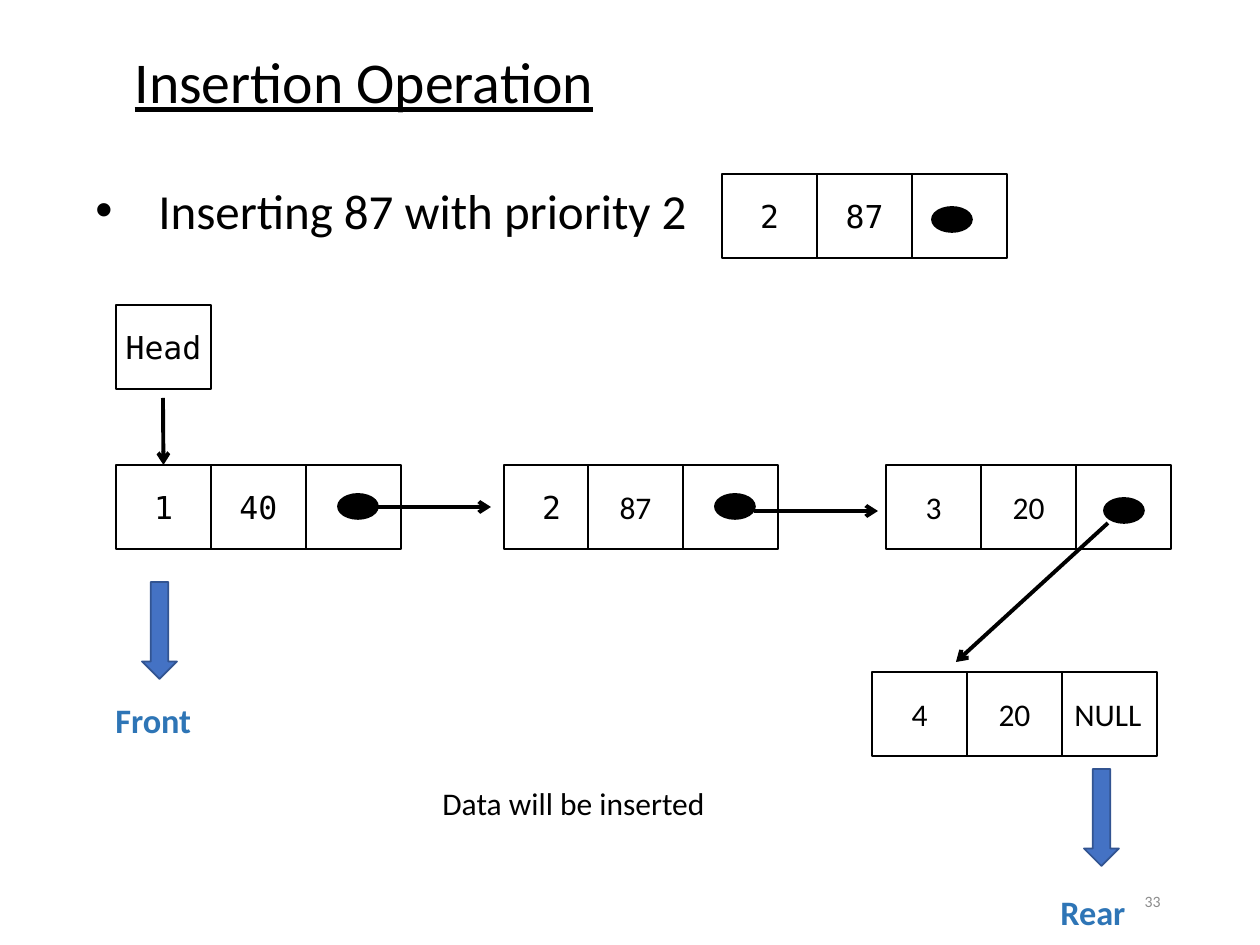
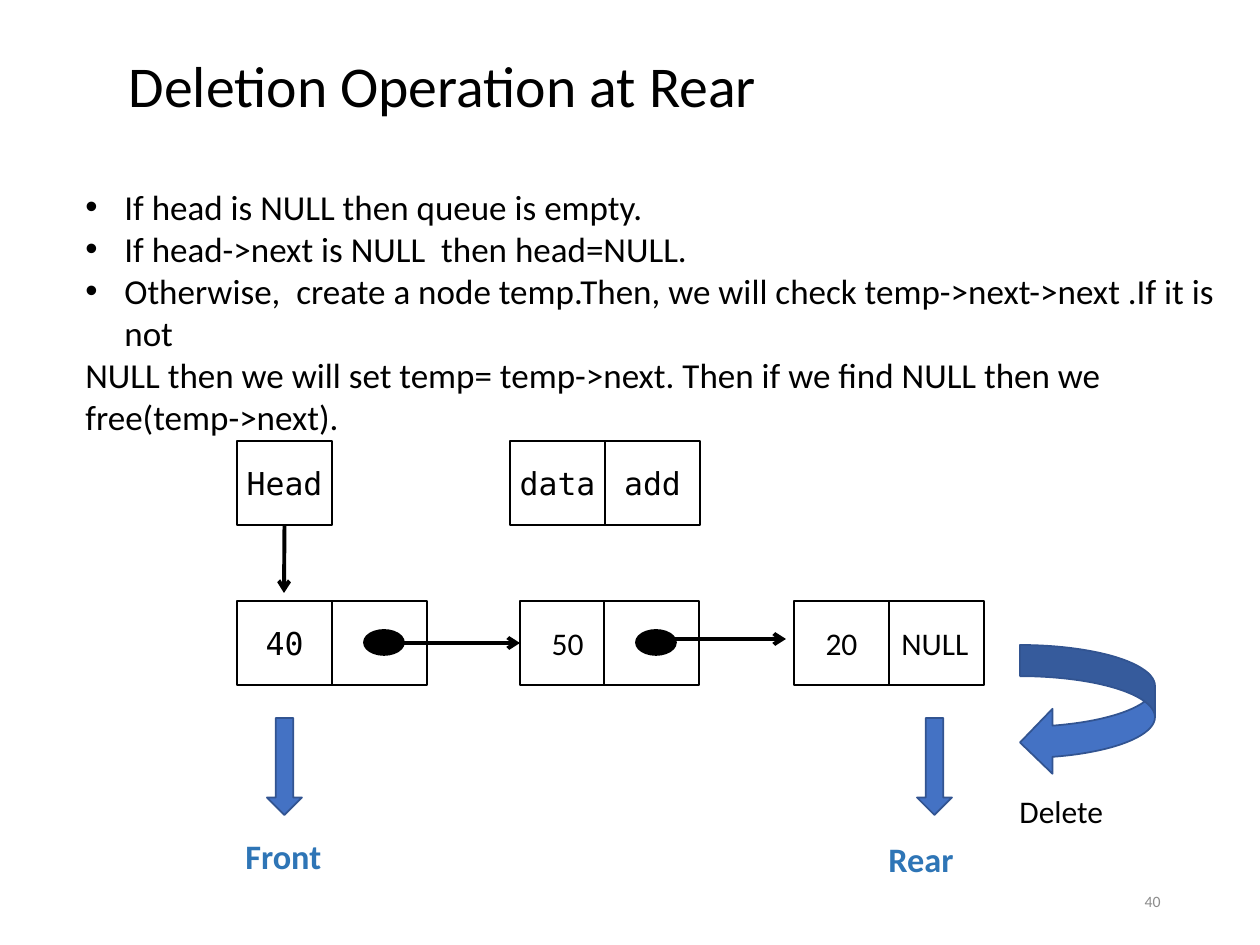
import pptx
import pptx.util
import pptx.dml.color
import pptx.enum.shapes
import pptx.enum.text
import pptx.oxml.ns
import lxml.etree

SANS = "Calibri"
MONO = "DejaVu Sans Mono"
BLACK = "000000"
WHITE = "FFFFFF"
GREY = "8C8C8C"
ARROW_FILL = "4472C4"
ARROW_LINE = "325491"
LABEL_BLUE = "2E75B6"

PX_PER_INCH = 126
CELL_WIDTH = 95
CELL_HEIGHT = 84
NARROW_STEP = 84
DOT_OFFSET = (32, 29)
TITLE_ONLY = 5

SHAPES = pptx.enum.shapes.MSO_SHAPE
ALIGN = pptx.enum.text.PP_ALIGN
ANCHOR = pptx.enum.text.MSO_ANCHOR


def emu(px):
    return round(px * 914400 / PX_PER_INCH)


def color(hex_value):
    return pptx.dml.color.RGBColor.from_string(hex_value)


def add_child(parent, tag, **attributes):
    return lxml.etree.SubElement(parent, pptx.oxml.ns.qn(tag), attributes)


def write(shape, text, size=18, font=SANS, ink=BLACK, bold=False, underline=False,
          align=ALIGN.LEFT, anchor=ANCHOR.TOP, wrap=True, spacing=None,
          bulleted=0, indent=0):
    frame = shape.text_frame
    frame.word_wrap = wrap
    frame.auto_size = pptx.enum.text.MSO_AUTO_SIZE.NONE
    frame.vertical_anchor = anchor
    for index, line in enumerate(text.split("\n")):
        para = frame.add_paragraph() if index else frame.paragraphs[0]
        para.alignment = align
        if spacing:
            para.line_spacing = spacing
        if index < bulleted:
            properties = para._p.get_or_add_pPr()
            properties.set("marL", str(emu(indent)))
            properties.set("indent", str(-emu(indent)))
            add_child(properties, "a:buFont", typeface="Arial")
            add_child(properties, "a:buChar", char="•")
        span = para.add_run()
        span.text = line
        span.font.size = pptx.util.Pt(size)
        span.font.name = font
        span.font.bold = bold
        span.font.underline = underline
        span.font.color.rgb = color(ink)


def add_text(page, box, text, **style):
    shape = page.shapes.add_textbox(*map(emu, box))
    write(shape, text, **style)
    return shape


def add_figure(page, kind, box, fill, line):
    shape = page.shapes.add_shape(kind, *map(emu, box))
    shape.shadow.inherit = False
    shape.fill.solid()
    shape.fill.fore_color.rgb = color(fill)
    shape.line.color.rgb = color(line)
    shape.line.width = pptx.util.Pt(1)
    return shape


def add_arrow(page, start, end, source=None, target=None):
    arrow = page.shapes.add_connector(
        pptx.enum.shapes.MSO_CONNECTOR.STRAIGHT, *map(emu, start + end))
    arrow.line.color.rgb = color(BLACK)
    arrow.line.width = pptx.util.Pt(2.25)
    add_child(arrow.line._get_or_add_ln(), "a:tailEnd", type="arrow")
    add_child(arrow._element.spPr, "a:effectLst")
    if source:
        arrow.begin_connect(*source)
    if target:
        arrow.end_connect(*target)


def add_node(page, left, top, *cells, first_step=CELL_WIDTH, dot=None):
    boxes = []
    for index, (text, font) in enumerate(cells):
        x = left + (first_step + (index - 1) * CELL_WIDTH if index else 0)
        box = add_figure(page, SHAPES.RECTANGLE, (x, top, CELL_WIDTH, CELL_HEIGHT),
                         WHITE, BLACK)
        align = ALIGN.LEFT if text == "NULL" else ALIGN.CENTER
        write(box, text, font=font, align=align, anchor=ANCHOR.MIDDLE, wrap=False)
        boxes.append(box)
    if dot:
        x = left + first_step + (len(cells) - 1) * CELL_WIDTH - CELL_WIDTH
        add_figure(page, SHAPES.OVAL, (x + dot[0], top + dot[1], 40, 25), BLACK, BLACK)
    return boxes


def add_marker(page, left, top, text, label_left, label_top):
    add_figure(page, SHAPES.DOWN_ARROW, (left, top, 35, 97), ARROW_FILL, ARROW_LINE)
    add_text(page, (label_left, label_top, 117, 50), text,
             size=19.6, ink=LABEL_BLUE, bold=True)


def add_page(deck, title, left, top, number, underline=False):
    page = deck.slides.add_slide(deck.slide_layouts[TITLE_ONLY])
    heading = page.shapes.title
    heading.left, heading.top, heading.width, heading.height = map(
        emu, (left, top, 1113, 158))
    write(heading, title, size=33, underline=underline, anchor=ANCHOR.MIDDLE, spacing=0.9)
    add_text(page, (890, 876, 283, 50), number, size=9, ink=GREY,
             align=ALIGN.RIGHT, anchor=ANCHOR.MIDDLE)
    return page


def build_insertion(deck):
    page = add_page(deck, "Insertion Operation", 122, 6, "33", underline=True)
    add_text(page, (83, 174, 631, 72), "Inserting 87 with priority 2",
             size=28, bulleted=1, indent=63)
    add_node(page, 722, 174, ("2", MONO), ("87", MONO), ("", SANS), dot=(209 - 189, 33))

    row = 465
    add_node(page, 116, 305, ("Head", MONO))
    first = add_node(page, 116, row, ("1", MONO), ("40", MONO), ("", SANS), dot=DOT_OFFSET)
    add_node(page, 504, row, ("2", MONO), ("87", SANS), ("", SANS),
             first_step=NARROW_STEP, dot=DOT_OFFSET)
    add_node(page, 886, row, ("3", SANS), ("20", SANS), ("", SANS), dot=(28, 33))
    add_node(page, 872, 672, ("4", SANS), ("20", SANS), ("NULL", SANS))

    add_arrow(page, (163, 398), (163, row), target=(first[0], 0))
    add_arrow(page, (368, 507), (491, 507))
    add_arrow(page, (754, 511), (878, 511))
    add_arrow(page, (1108, 523), (956, 662))

    add_marker(page, 142, 582, "Front", 103, 693)
    add_marker(page, 1084, 769, "Rear", 1048, 885)
    add_text(page, (430, 778, 299, 50), "Data will be inserted", wrap=False)


def build_deletion(deck):
    page = add_page(deck, "Deletion Operation at Rear", 116, 10, "40")
    steps = (
        "If head is NULL then queue is empty.\n"
        "If head->next is NULL  then head=NULL.\n"
        "Otherwise,  create a node temp.Then, we will check temp->next->next .If it is not\n"
        "NULL then we will set temp= temp->next. Then if we find NULL then we\n"
        "free(temp->next)."
    )
    add_text(page, (73, 179, 1187, 267), steps, size=20, bulleted=3, indent=39)

    row = 601
    head = add_node(page, 237, 441, ("Head", MONO))
    add_node(page, 510, 441, ("data", MONO), ("add", MONO))
    add_node(page, 237, row, ("40", MONO), ("", SANS), dot=DOT_OFFSET)
    second = add_node(page, 520, row, ("50", SANS), ("", SANS),
                      first_step=NARROW_STEP, dot=DOT_OFFSET)
    add_node(page, 794, row, ("20", SANS), ("NULL", SANS))

    add_arrow(page, (284, 525), (284, 593), source=(head[0], 2))
    add_arrow(page, (394, 643), (520, 643), target=(second[0], 1))
    add_arrow(page, (663, 639), (786, 639))

    add_marker(page, 267, 718, "Front", 233, 829)
    add_marker(page, 917, 718, "Rear", 876, 832)
    turn = add_figure(page, SHAPES.CURVED_LEFT_ARROW, (1020, 645, 135, 130),
                      ARROW_FILL, ARROW_LINE)
    for index, value in enumerate((0.24, 0.5, 0.25)):
        turn.adjustments[index] = value
    add_text(page, (1007, 786, 110, 50), "Delete", wrap=False)


def main():
    deck = pptx.Presentation()
    deck.slide_width = emu(1260)
    deck.slide_height = emu(945)
    build_insertion(deck)
    build_deletion(deck)
    deck.save("out.pptx")


if __name__ == "__main__":
    main()
